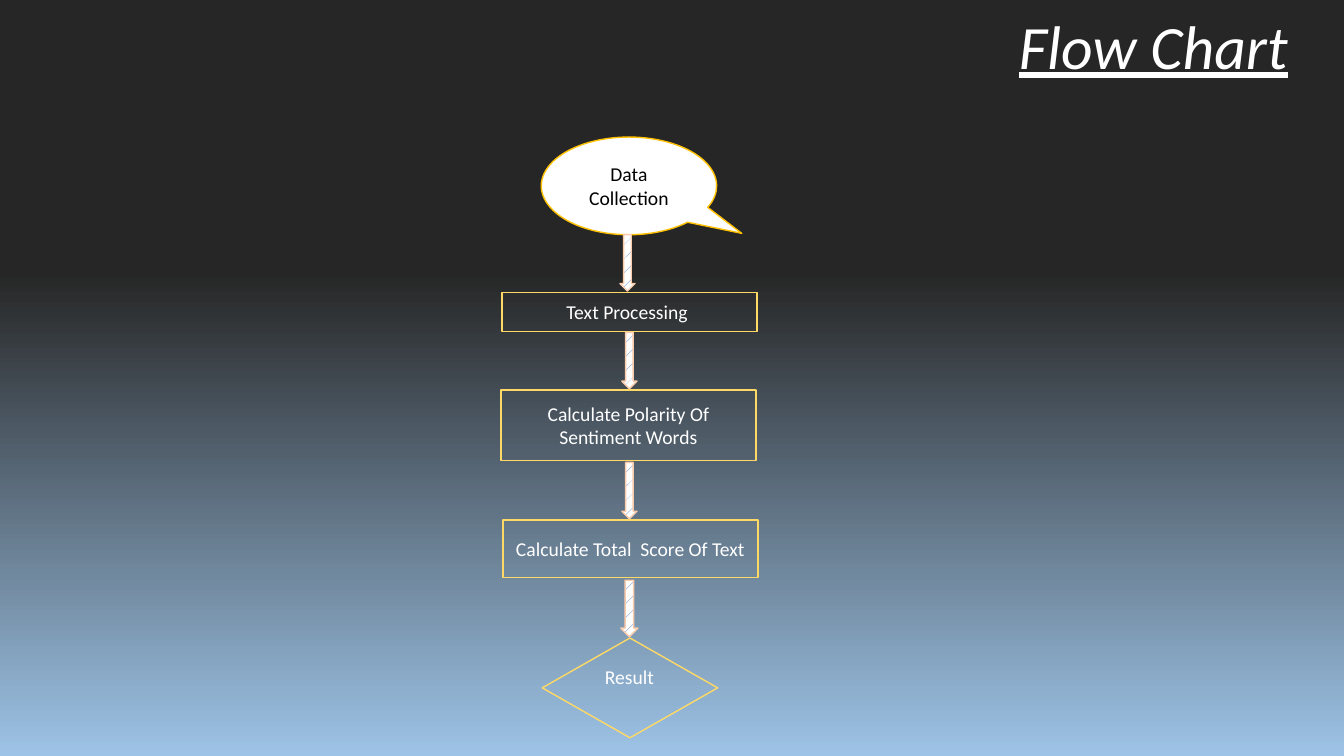
from dataclasses import dataclass

import pptx
import pptx.dml.color
import pptx.enum.dml
import pptx.enum.shapes
import pptx.enum.text
import pptx.util

Pt = pptx.util.Pt
RGB = pptx.dml.color.RGBColor.from_string
SHAPE = pptx.enum.shapes.MSO_SHAPE
ANCHOR = pptx.enum.text.MSO_ANCHOR
ALIGN = pptx.enum.text.PP_ALIGN


@dataclass(frozen=True)
class Theme:
    font: str = "Calibri"
    title_size: float = 44
    step_size: float = 14
    line_width: float = 1
    dark: str = "262626"
    sky: str = "9DC3E6"
    light: str = "FFFFFF"
    ink: str = "000000"
    callout_line: str = "FFC000"
    box_line: str = "FFD966"
    arrow_line: str = "F8CBAD"
    arrow_dots: str = "4472C4"


THEME = Theme()

# Step: preset, text, offset of centre, top, width, height
STEPS = [
    (SHAPE.OVAL_CALLOUT, "Data Collection", -0.3, 0, 125.3, 69.8),
    (SHAPE.RECTANGLE, "Text Processing ", 0, 110.9, 182.2, 28.1),
    (SHAPE.RECTANGLE, "Calculate Polarity Of Sentiment Words", -0.7, 180.7, 182.2, 50.4),
    (SHAPE.RECTANGLE, "Calculate Total  Score Of Text", 0.7, 273.6, 182.2, 41),
    (SHAPE.DIAMOND, "", 0.4, 357.8, 125.3, 71.3),
]
# Arrow into each later step: offset of centre, width
ARROWS = [(-1.4, 10.8), (0, 10.8), (0, 10.8), (0, 12.2)]
ARROW_HEIGHT = 40.3
ARROW_GAP = 0.9


def write(sp, text, size, color, align):
    tf = sp.text_frame
    tf.word_wrap = True
    p = tf.paragraphs[0]
    p.text = text
    p.alignment = align
    p.font.name = THEME.font
    p.font.size = Pt(size)
    p.font.color.rgb = RGB(color)
    return p


def add_outline(slide, preset, left, top, width, height, line):
    sp = slide.shapes.add_shape(preset, Pt(left), Pt(top), Pt(width), Pt(height))
    sp.shadow.inherit = False
    sp.fill.background()
    sp.line.color.rgb = RGB(line)
    sp.line.width = Pt(THEME.line_width)
    return sp


def paint_background(slide):
    fill = slide.background.fill
    fill.gradient()
    fill.gradient_angle = 270
    stops = ((0.36, THEME.dark), (1, THEME.sky))
    for stop, (position, color) in zip(fill.gradient_stops, stops):
        stop.position = position
        stop.color.rgb = RGB(color)


def add_title(slide, left, top, width, height):
    sp = slide.shapes.add_textbox(Pt(left), Pt(top), Pt(width), Pt(height))
    p = write(sp, "Flow Chart", THEME.title_size, THEME.light, ALIGN.LEFT)
    p.line_spacing = 0.9
    p.font.italic = True
    p.font.underline = True


def add_step(slide, preset, text, left, top, width, height):
    callout = preset == SHAPE.OVAL_CALLOUT
    line = THEME.callout_line if callout else THEME.box_line
    sp = add_outline(slide, preset, left, top, width, height, line)
    if callout:
        sp.adjustments[0], sp.adjustments[1] = 0.643, 0.486
        sp.fill.solid()
        sp.fill.fore_color.rgb = RGB(THEME.light)
    if text:
        sp.text_frame.vertical_anchor = ANCHOR.MIDDLE
        color = THEME.ink if callout else THEME.light
        write(sp, text, THEME.step_size, color, ALIGN.CENTER)


def add_arrow(slide, left, top, width, height):
    sp = add_outline(slide, SHAPE.DOWN_ARROW, left, top, width, height, THEME.arrow_line)
    sp.fill.patterned()
    sp.fill.pattern = pptx.enum.dml.MSO_PATTERN.PERCENT_5
    sp.fill.fore_color.rgb = RGB(THEME.arrow_dots)
    sp.fill.back_color.rgb = RGB(THEME.light)


def add_result_label(slide, left, top, width, height):
    sp = slide.shapes.add_textbox(Pt(left), Pt(top), Pt(width), Pt(height))
    write(sp, "Result", THEME.step_size, THEME.light, ALIGN.CENTER)
    sp.text_frame.auto_size = pptx.enum.text.MSO_AUTO_SIZE.SHAPE_TO_FIT_TEXT


def add_flow(slide, left, top, width):
    center = left + width / 2
    # Steps from collection to result
    for preset, text, dx, y, w, h in STEPS:
        add_step(slide, preset, text, center + dx - w / 2, top + y, w, h)
    # Arrows end just above the step they lead to
    for (dx, w), step in zip(ARROWS, STEPS[1:]):
        y = top + step[3] - ARROW_GAP - ARROW_HEIGHT
        add_arrow(slide, center + dx - w / 2, y, w, ARROW_HEIGHT)
    # Label in the upper part of the diamond
    add_result_label(slide, center - 56.5, top + STEPS[-1][3] + 15.8, 113, 24.5)


def main():
    prs = pptx.Presentation()
    prs.slide_width, prs.slide_height = Pt(960), Pt(540)
    slide = prs.slides.add_slide(prs.slide_layouts[6])
    paint_background(slide)
    add_title(slide, 720.7, 7.9, 230.4, 59.8)
    add_flow(slide, 358.5, 97.9, 182.2)
    prs.save("out.pptx")


if __name__ == "__main__":
    main()
